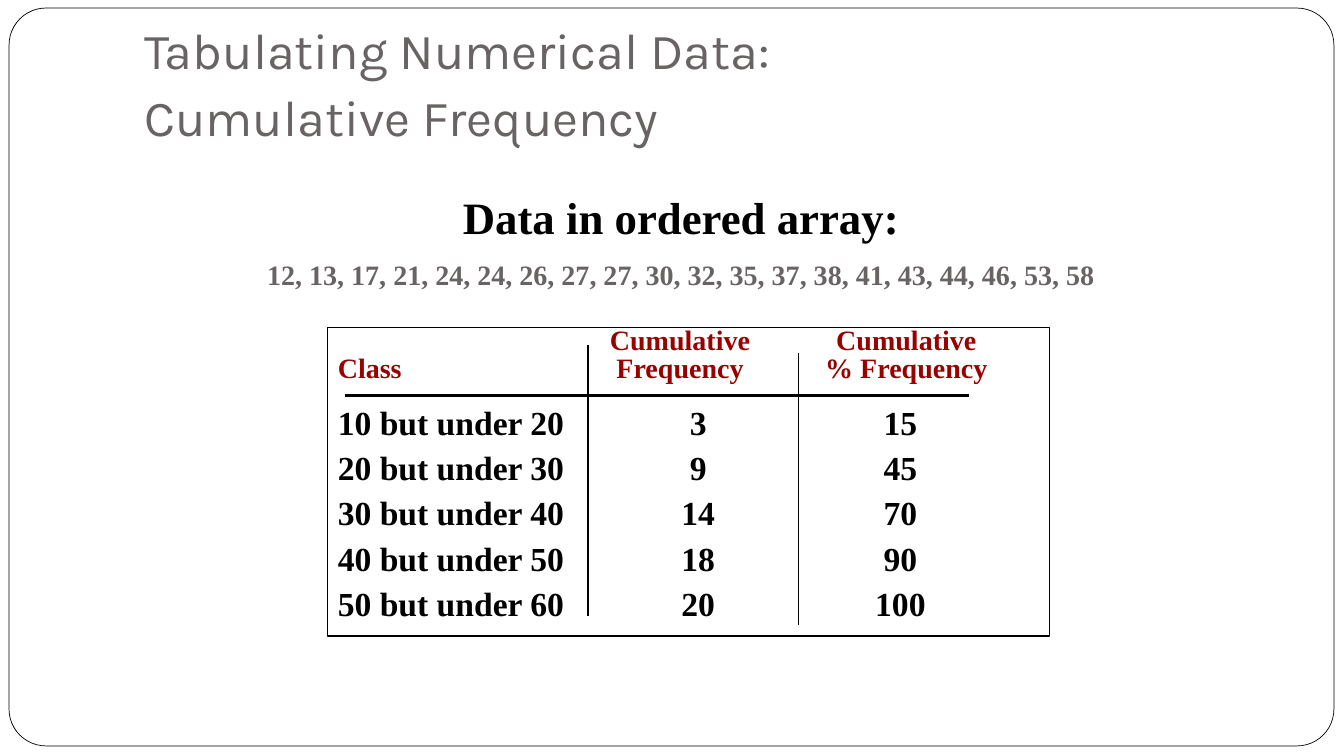
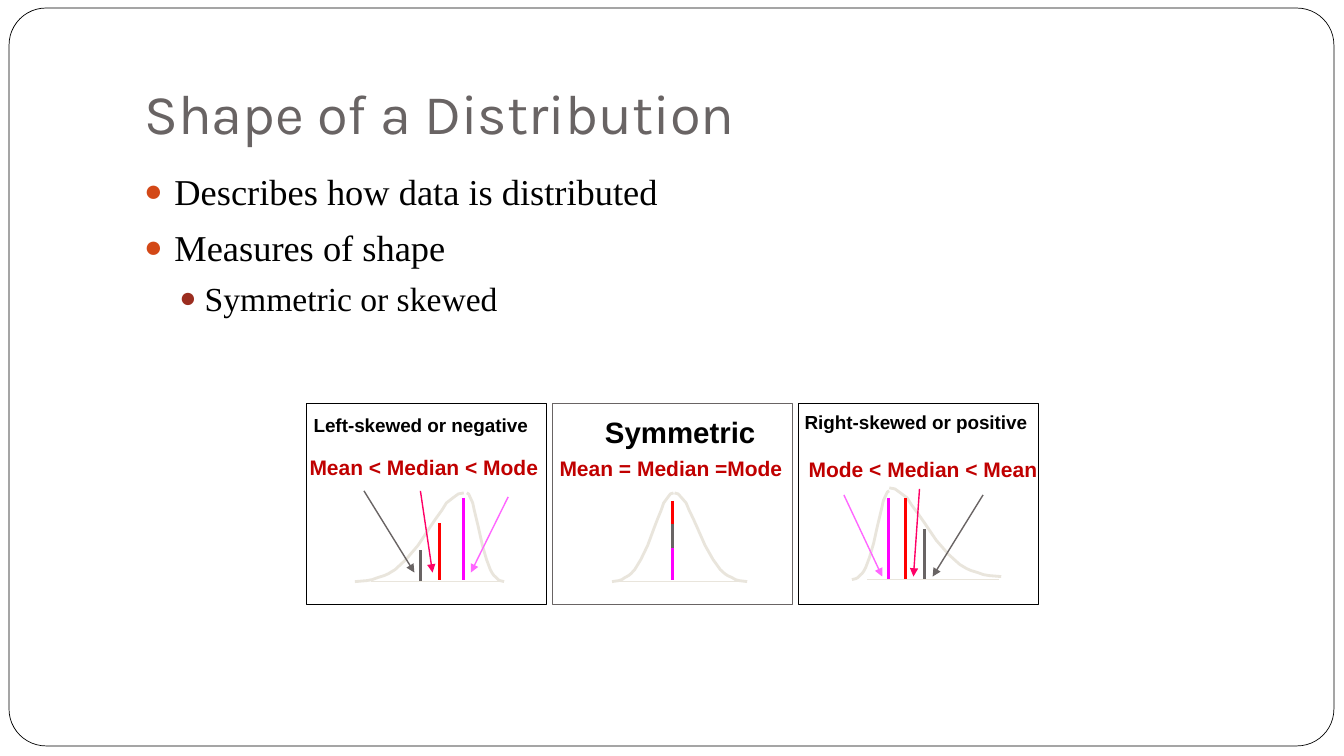
from lxml import etree
from pptx import Presentation
from pptx.dml.color import RGBColor
from pptx.enum import shapes, text
from pptx.oxml import ns
from pptx.util import Pt

PX = 9144  # EMU in one px, 100 px to the inch


class Theme:
    black, white, grey, sand = "000000", "FFFFFF", "696464", "E9E5DC"
    wine, crimson = "990000", "C00000"
    red, magenta, pink, rose = "FF0000", "FF00FF", "FF66FF", "FF0066"
    dots = "D34817", "9B2D1F"
    head, serif, sans = "Karla", "Times New Roman", "Arial"
    list_sizes = 26, 24
    h1, h1_long, h2, cell, note = 40, 36, 32, 24, 20
    label, small, large = 15, 13.5, 21
    plain_table = "{2D5ABB26-0587-4C30-8999-92F81FD0307C}"


ALIGN, ANCHOR = text.PP_ALIGN, text.MSO_ANCHOR


def write(frame, *lines, face=Theme.serif, sizes=(20,), color=Theme.black,
          bold=False, align=ALIGN.LEFT, gap=0, space=1.0):
    """Fill a text frame, one paragraph a line; the last size repeats."""
    frame.text = "\n".join(lines)
    for i, para in enumerate(frame.paragraphs):
        para.alignment, para.line_spacing = align, space
        para.space_before = Pt(gap if i else 0)
        for run in para.runs:
            font = run.font
            font.name, font.bold = face, bold
            font.size = Pt(sizes[min(i, len(sizes) - 1)])
            font.color.rgb = RGBColor.from_string(color)


def rule(slide, ends, color, width, arrow=False):
    line = slide.shapes.add_connector(
        shapes.MSO_CONNECTOR.STRAIGHT, *(v * PX for v in ends))
    line.line.color.rgb = RGBColor.from_string(color)
    line.line.width = Pt(width)
    if arrow:
        etree.SubElement(line.line._get_or_add_ln(), ns.qn("a:tailEnd"),
                         type="triangle")
    etree.SubElement(line._element.spPr, ns.qn("a:effectLst"))


deck = Presentation()
deck.slide_width, deck.slide_height = 1333 * PX, 750 * PX
table_slide = deck.slides.add_slide(deck.slide_layouts[5])
shape_slide = deck.slides.add_slide(deck.slide_layouts[1])

# Titles
titles = (
    (table_slide, Theme.h1_long,
     ["Tabulating Numerical Data:", "Cumulative Frequency"]),
    (shape_slide, Theme.h1, ["Shape of a Distribution"]),
)
for slide, size, lines in titles:
    title = slide.shapes.title
    title.left, title.top, title.width, title.height = (
        v * PX for v in (133, 30, 1133, 125))
    frame = title.text_frame
    frame.auto_size = text.MSO_AUTO_SIZE.NONE
    frame.vertical_anchor = ANCHOR.BOTTOM
    frame.margin_left = frame.margin_right = frame.margin_bottom = 10 * PX
    write(frame, *lines, face=Theme.head, sizes=(size,), color=Theme.grey,
          space=1.1)

# Outlines: page frame, table box, three panels
kinds = shapes.MSO_SHAPE
panels = [304 + 244 * i for i in range(3)]
outlines = [
    (table_slide, kinds.ROUNDED_RECTANGLE, (9, 8, 1314, 732), Theme.black, 0.5),
    (table_slide, kinds.RECTANGLE, (325, 325, 716, 306), Theme.black, 1),
]
for left, color in zip(panels, (Theme.black, Theme.grey, Theme.black)):
    outlines.append(
        (shape_slide, kinds.RECTANGLE, (left, 400, 238, 200), color, 0.75))
for slide, kind, box, color, width in outlines:
    shape = slide.shapes.add_shape(kind, *(v * PX for v in box))
    shape.shadow.inherit = False
    shape.fill.background()
    shape.line.color.rgb = RGBColor.from_string(color)
    shape.line.width = Pt(width)
    if kind == kinds.ROUNDED_RECTANGLE:
        # The page frame belongs to the master, so every slide shows it
        shape.adjustments[0] = 0.05
        shape._element.nvSpPr.cNvPr.id = 20
        deck.slide_master.shapes._spTree.insert(2, shape._element)

# Slide 1: ordered array
array = table_slide.shapes.add_shape(
    kinds.RECTANGLE, *(v * PX for v in (242, 183, 867, 114)))
array.shadow.inherit = False
array.fill.solid()
array.fill.fore_color.rgb = RGBColor.from_string(Theme.white)
array.line.fill.background()
intro = array.text_frame
intro.word_wrap, intro.vertical_anchor = True, ANCHOR.TOP
write(intro, "Data in ordered array:",
      "12, 13, 17, 21, 24, 24, 26, 27, 27, 30, 32, 35, 37, 38, 41, 43, 44, "
      "46, 53, 58",
      sizes=(Theme.h2, Theme.note), bold=True, align=ALIGN.CENTER, gap=10)
for run in intro.paragraphs[1].runs:
    run.font.color.rgb = RGBColor.from_string(Theme.grey)

# Slide 1: frequency table
rows = [("Class", "Cumulative\nFrequency", "Cumulative\n% Frequency")]
for low, count, share in zip(range(10, 60, 10), (3, 9, 14, 18, 20),
                             (15, 45, 70, 90, 100)):
    rows.append((f"{low} but under {low + 10}", str(count), str(share)))
widths, head_high, row_high = (248, 209, 208), 75, 45
table = table_slide.shapes.add_table(
    len(rows), len(widths), 335 * PX, 323 * PX, sum(widths) * PX,
    (head_high + 5 * row_high) * PX).table
table.first_row = table.horz_banding = False
table._tbl.tblPr.find(ns.qn("a:tableStyleId")).text = Theme.plain_table
for column, width in zip(table.columns, widths):
    column.width = width * PX
head_pads = (0, 0), (0, 26), (6, 0)
data_pads = (0, 0), (10, 0), (0, 6)
for r, row in enumerate(rows):
    head = r == 0
    table.rows[r].height = (head_high if head else row_high) * PX
    for c, (value, pads) in enumerate(zip(row, head_pads if head else data_pads)):
        cell = table.cell(r, c)
        cell.fill.background()
        cell.margin_left, cell.margin_right = (v * PX for v in pads)
        cell.margin_top, cell.margin_bottom = 0, (17 * PX if head else 0)
        cell.vertical_anchor = ANCHOR.BOTTOM if head else ANCHOR.MIDDLE
        write(cell.text_frame, *value.split("\n"), bold=True,
              sizes=(Theme.note if head else Theme.cell,),
              color=Theme.wine if head else Theme.black,
              align=ALIGN.CENTER if c else ALIGN.LEFT,
              space=0.9 if head else 1.0)
rule(table_slide, (342, 392, 961, 392), Theme.black, 2)
rule(table_slide, (583, 342, 583, 611), Theme.black, 1)
rule(table_slide, (792, 350, 792, 620), Theme.black, 1)

# Slide 2: bullets
body = shape_slide.placeholders[1]
body.left, body.top, body.width, body.height = (
    v * PX for v in (133, 158, 1133, 500))
body.text_frame.auto_size = text.MSO_AUTO_SIZE.NONE
write(body.text_frame, "Describes how data is distributed",
      "Measures of shape", "Symmetric or skewed",
      sizes=(Theme.list_sizes[0],), gap=5.8, space=1.1)
for para, level in zip(body.text_frame.paragraphs, (0, 0, 1)):
    para.level = level
    props = para._p.get_or_add_pPr()
    props.set("marL", str((30, 60)[level] * PX))
    props.set("indent", str((-30, -25)[level] * PX))
    tint = etree.SubElement(props, ns.qn("a:buClr"))
    etree.SubElement(tint, ns.qn("a:srgbClr"), val=Theme.dots[level])
    etree.SubElement(props, ns.qn("a:buSzPct"), val="85000")
    etree.SubElement(props, ns.qn("a:buChar"), char="●")
    if level:
        para.space_before = Pt(3.7)
    for run in para.runs:
        run.font.size = Pt(Theme.list_sizes[level])

# Slide 2: each curve is two halves of one profile, (share of run, rise)
profile = ((0, 0), (0.11, 1), (0.16, 2), (0.21, 4), (0.27, 6), (0.31, 8),
           (0.37, 12), (0.47, 22), (0.58, 36), (0.69, 54), (0.74, 62),
           (0.8, 71), (0.84, 78), (0.9, 83), (0.95, 87), (1, 88))
halves = ((352, 577, 460), (500, 577, 463), (607, 577, 668),
          (741, 577, 669), (845, 575, 882), (993, 572, 882))
fine = 12  # outline steps in one px
for foot, base, peak in halves:
    points = [((foot + (peak - foot) * t) * fine, (base - rise) * fine)
              for t, rise in profile]
    outline = shape_slide.shapes.build_freeform(*points[0], scale=PX / fine)
    outline.add_line_segments(points[1:], close=False)
    curve = outline.convert_to_shape()
    curve.shadow.inherit = False
    curve.fill.background()
    curve.line.color.rgb = RGBColor.from_string(Theme.sand)
    curve.line.width = Pt(2)

# Slide 2: captions
captions = (
    ("Left-skewed or negative", (304, 406, 236, 30), Theme.small, Theme.black),
    ("Symmetric", (593, 407, 175, 43), Theme.large, Theme.black),
    ("Right-skewed or positive", (791, 403, 244, 30), Theme.small, Theme.black),
    ("Mean < Median < Mode", (300, 447, 244, 33), Theme.label, Theme.crimson),
    ("Mean = Median =Mode", (548, 448, 244, 33), Theme.label, Theme.crimson),
    ("Mode < Median < Mean", (795, 449, 248, 33), Theme.label, Theme.crimson),
)
for words, box, size, color in captions:
    frame = shape_slide.shapes.add_textbox(*(v * PX for v in box)).text_frame
    frame.word_wrap = True
    frame.margin_left = frame.margin_right = 7 * PX
    frame.margin_top = frame.margin_bottom = 4 * PX
    write(frame, words, face=Theme.sans, sizes=(size,), color=color, bold=True)

# Slide 2: mean, median and mode bars (x, top, bottom), baselines, arrows
bars = (
    (881, 494, 575, Theme.magenta), (898, 494, 575, Theme.red),
    (917, 525, 575, Theme.grey), (460, 494, 575, Theme.magenta),
    (436, 519, 575, Theme.red), (417, 546, 577, Theme.grey),
    (667, 497, 569, Theme.red), (667, 520, 563, Theme.grey),
    (667, 544, 575, Theme.magenta),
)
for x, top, bottom, color in bars:
    rule(shape_slide, (x, top, x, bottom), color, 2)
for x, y in ((368, 577), (607, 577), (860, 575)):
    rule(shape_slide, (x, y, x + 131, y), Theme.sand, 1)
arrows = (
    ((504, 493, 467, 568), Theme.pink), ((417, 487, 429, 568), Theme.rose),
    ((361, 487, 411, 568), Theme.grey), ((837, 491, 875, 572), Theme.pink),
    ((912, 485, 906, 572), Theme.rose), ((975, 491, 925, 572), Theme.grey),
)
for ends, color in arrows:
    rule(shape_slide, ends, color, 1, arrow=True)

deck.save("out.pptx")
